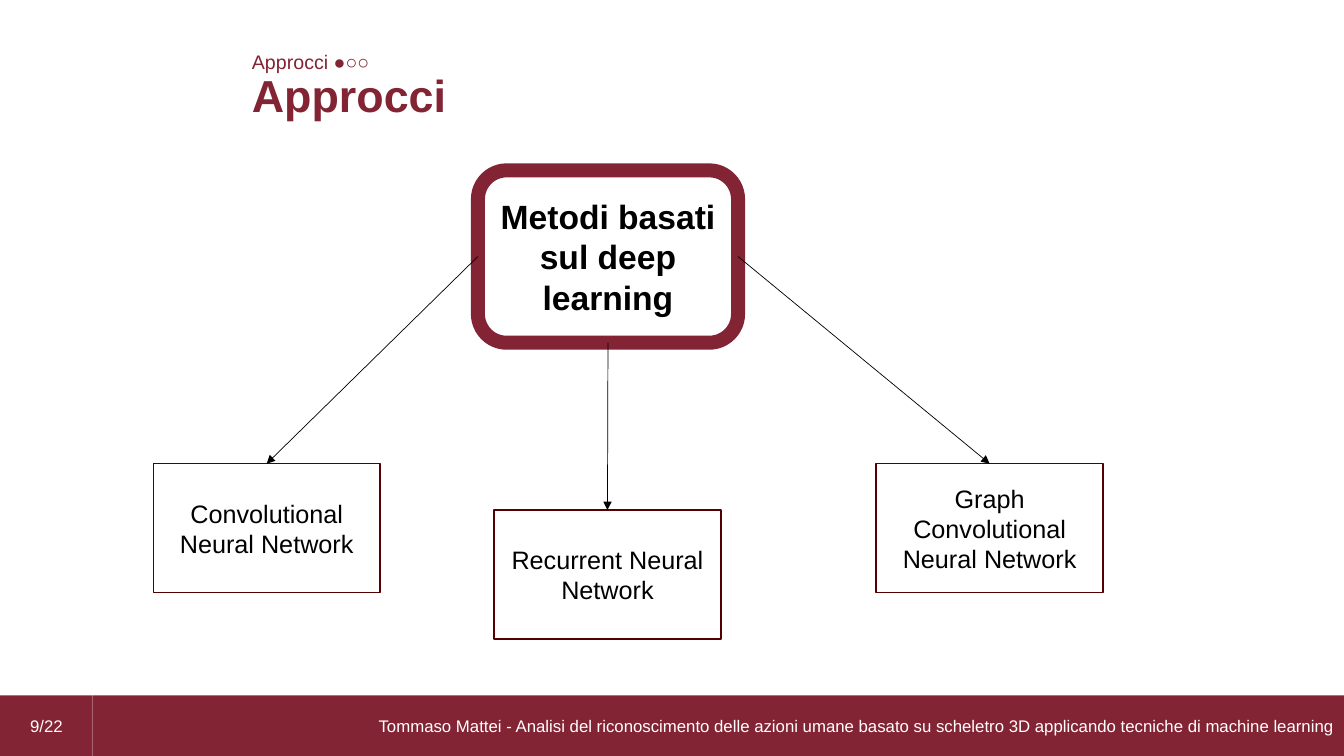
from lxml import etree
from pptx import Presentation
from pptx.dml.color import RGBColor
from pptx.enum.shapes import MSO_CONNECTOR as CONN, MSO_SHAPE as SHAPE
from pptx.enum.text import MSO_ANCHOR as ANCHOR, PP_ALIGN as ALIGN
from pptx.oxml.ns import qn
from pptx.util import Inches, Pt

WINE, DARK_RED, WHITE, BLACK = "822433", "540000", "FFFFFF", "000000"

TITLE = ("Approcci", (2.4, 0.62, 10.07, 0.64))
SECTION = ("Approcci ●○○", (2.4, 0.45, 2.42, 0.34))
FOOTER = [
    ("Tommaso Mattei - Analisi del riconoscimento delle azioni umane basato su "
     "scheletro 3D applicando tecniche di machine learning",
     (0.92, 6.9, 12.42, 0.6), ALIGN.RIGHT),
    ("9/22", (0, 6.9, 0.92, 0.6), ALIGN.CENTER),
]
ROOT = ("Metodi basati sul deep learning", (4.74, 1.69, 2.58, 1.71))
NETWORK_SIZE = (2.25, 1.28)
# text, left, top, side of the root box where the arrow starts
NETWORKS = [
    ("Convolutional Neural Network", 1.52, 4.6, 1),
    ("Recurrent Neural Network", 4.9, 5.06, 2),
    ("Graph Convolutional Neural Network", 8.69, 4.6, 3),
]


def rgb(color):
    return RGBColor.from_string(color)


def write(shape, text, size=18, color=BLACK, bold=False, align=ALIGN.CENTER,
          anchor=ANCHOR.MIDDLE):
    tf = shape.text_frame
    tf.word_wrap = True
    tf.vertical_anchor = anchor
    p = tf.paragraphs[0]
    p.alignment = align
    r = p.add_run()
    r.text = text
    r.font.name = "Arial"
    r.font.size = Pt(size)
    r.font.bold = bold
    r.font.color.rgb = rgb(color)


def add_box(s, kind, box, fill=None, line=None, width=1):
    sp = s.shapes.add_shape(kind, *map(Inches, box))
    sp.shadow.inherit = False
    if fill:
        sp.fill.solid()
        sp.fill.fore_color.rgb = rgb(fill)
    else:
        sp.fill.background()
    if line:
        sp.line.color.rgb = rgb(line)
        sp.line.width = Pt(width)
    else:
        sp.line.fill.background()
    return sp


def add_arrow(s, start, side, end):
    """Join a side of the start box to the top of the end box."""
    c = s.shapes.add_connector(CONN.STRAIGHT, 0, 0, 0, 0)
    c.begin_connect(start, side)
    c.end_connect(end, 0)
    c.line.color.rgb = rgb(BLACK)
    c.line.width = Pt(0.5)
    etree.SubElement(c.line._get_or_add_ln(), qn("a:tailEnd"), type="triangle")
    etree.SubElement(c._element.spPr, qn("a:effectLst"))


def main():
    prs = Presentation()
    prs.slide_width, prs.slide_height = Inches(13.33), Inches(7.5)
    s = prs.slides.add_slide(prs.slide_layouts[6])

    for text, box, align in FOOTER:
        write(add_box(s, SHAPE.RECTANGLE, box, fill=WINE), text, size=12,
              color=WHITE, align=align)

    for (text, box), size, bold in ((TITLE, 32, True), (SECTION, 14, False)):
        write(s.shapes.add_textbox(*map(Inches, box)), text, size=size,
              color=WINE, bold=bold, align=ALIGN.LEFT, anchor=ANCHOR.TOP)

    text, box = ROOT
    root = add_box(s, SHAPE.ROUNDED_RECTANGLE, box, line=WINE, width=10)
    write(root, text, size=24, bold=True)

    for text, left, top, side in NETWORKS:
        network = add_box(s, SHAPE.RECTANGLE, (left, top, *NETWORK_SIZE),
                          fill=WHITE, line=DARK_RED)
        write(network, text)
        add_arrow(s, root, side, network)

    prs.save("out.pptx")


if __name__ == "__main__":
    main()
